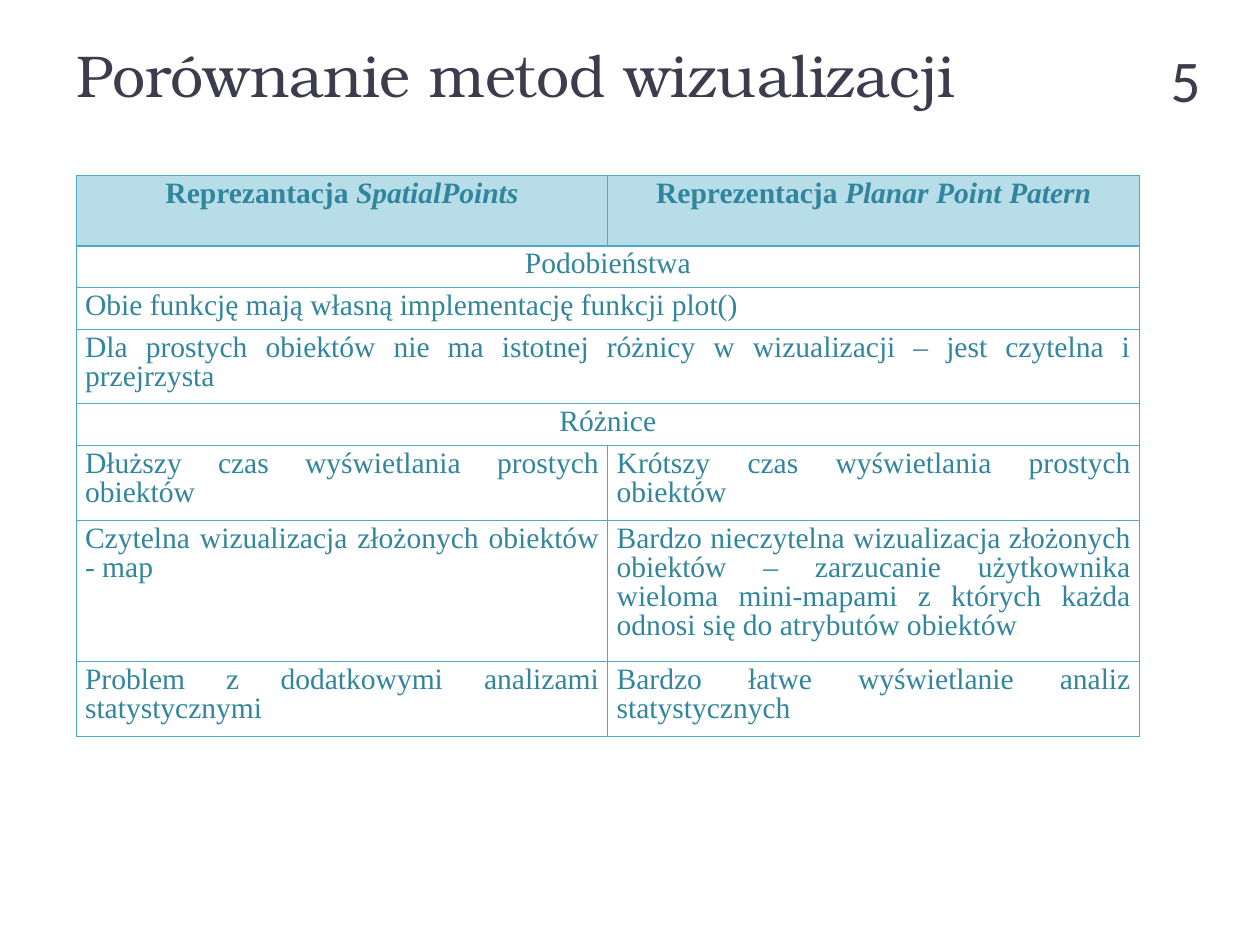
from dataclasses import dataclass

from lxml.etree import SubElement
from pptx import Presentation
from pptx.dml.color import RGBColor
from pptx.enum.text import MSO_ANCHOR, MSO_AUTO_SIZE, PP_ALIGN
from pptx.oxml.ns import qn
from pptx.util import Inches, Pt

COLORS = {"heading": "3C3C4C", "text": "31859C", "border": "4BACC6", "header": "B7DEE8"}
BODY_FONT = "Times New Roman"


@dataclass(frozen=True)
class Span:
    text: str
    font: str = BODY_FONT
    size: int = 24
    color: str = "text"
    bold: bool = False
    italic: bool = False


@dataclass(frozen=True)
class Row:
    height: float
    cells: tuple[tuple[Span, ...], ...]
    align: PP_ALIGN = PP_ALIGN.JUSTIFY
    header: bool = False


def plain(height: float, *texts: str, align: PP_ALIGN = PP_ALIGN.JUSTIFY) -> Row:
    return Row(height, tuple((Span(text),) for text in texts), align)


def heading(first: str, second: str) -> tuple[Span, ...]:
    return Span(first, bold=True), Span(second, bold=True, italic=True)


ROWS = (
    Row(0.8, (heading("Reprezantacja ", "SpatialPoints"),
              heading("Reprezentacja ", "Planar Point Patern")), PP_ALIGN.CENTER, True),
    plain(0.47, "Podobieństwa", align=PP_ALIGN.CENTER),
    plain(0.47, "Obie funkcję mają własną implementację funkcji plot()"),
    plain(0.84, "Dla prostych obiektów nie ma istotnej różnicy w wizualizacji – "
                "jest czytelna i przejrzysta"),
    plain(0.47, "Różnice", align=PP_ALIGN.CENTER),
    plain(0.85, "Dłuższy czas wyświetlania prostych obiektów",
          "Krótszy czas wyświetlania prostych obiektów"),
    plain(1.59, "Czytelna wizualizacja złożonych obiektów - map",
          "Bardzo nieczytelna wizualizacja złożonych obiektów – zarzucanie użytkownika "
          "wieloma mini-mapami z których każda odnosi się do atrybutów obiektów"),
    plain(0.85, "Problem z dodatkowymi analizami statystycznymi",
          "Bardzo łatwe wyświetlanie analiz statystycznych"),
)


def write(frame, spans: tuple[Span, ...], align: PP_ALIGN, spacing: float, before: int) -> None:
    para = frame.paragraphs[0]
    para.alignment = align
    para.line_spacing = spacing
    para.space_before = Pt(before)
    for span in spans:
        run = para.add_run()
        run.text = span.text
        run.font.name = span.font
        run.font.size = Pt(span.size)
        run.font.bold = span.bold
        run.font.italic = span.italic
        run.font.color.rgb = RGBColor.from_string(COLORS[span.color])


def place(box, left: float, top: float, width: float, height: float) -> None:
    box.left, box.top = Inches(left), Inches(top)
    box.width, box.height = Inches(width), Inches(height)
    frame = box.text_frame
    frame.margin_left = frame.margin_right = frame.margin_top = frame.margin_bottom = 0
    frame.auto_size = MSO_AUTO_SIZE.NONE


def set_borders(cell, top: int, bottom: int) -> None:
    properties = cell._tc.get_or_add_tcPr()
    for side, points in (("L", 1), ("R", 1), ("T", top), ("B", bottom)):
        line = SubElement(properties, qn(f"a:ln{side}"), w=str(Pt(points)))
        fill = SubElement(line, qn("a:solidFill"))
        SubElement(fill, qn("a:srgbClr"), val=COLORS["border"])


def add_comparison(page) -> None:
    height = sum(row.height for row in ROWS)
    table = page.shapes.add_table(len(ROWS), 2, Inches(0.86), Inches(1.98),
                                  Inches(12), Inches(height)).table
    table.first_row = table.horz_banding = False
    for index, row in enumerate(ROWS):
        table.rows[index].height = Inches(row.height)
        for column in range(2):
            cell = table.cell(index, column)
            set_borders(cell, 2 if index == 1 else 1, 2 if row.header else 1)
            if row.header:
                cell.fill.solid()
                cell.fill.fore_color.rgb = RGBColor.from_string(COLORS["header"])
            else:
                cell.fill.background()
        if len(row.cells) == 1:
            table.cell(index, 0).merge(table.cell(index, 1))
        for column, spans in enumerate(row.cells):
            write(table.cell(index, column).text_frame, spans, row.align, 0.89, 2)


def main() -> None:
    """Build the slide that compares the two visualisation methods."""
    deck = Presentation()
    deck.slide_width, deck.slide_height = Inches(14.22), Inches(10.67)
    page = deck.slides.add_slide(deck.slide_layouts[5])

    title = page.shapes.title
    place(title, 0.86, 0.5, 10.12, 0.75)
    title.text_frame.vertical_anchor = MSO_ANCHOR.TOP
    title.text_frame.word_wrap = True
    write(title.text_frame, (Span("Porównanie metod wizualizacji", "TeX Gyre Bonum", 48, "heading"),),
          PP_ALIGN.LEFT, 0.93, 0)

    number = page.shapes.add_textbox(0, 0, 0, 0)
    place(number, 13.18, 0.5, 0.37, 0.81)
    number.text_frame.vertical_anchor = MSO_ANCHOR.BOTTOM
    number.text_frame.word_wrap = False
    write(number.text_frame, (Span("5", "Calibri", 48, "heading"),), PP_ALIGN.RIGHT, 0.93, 2)

    add_comparison(page)
    deck.save("out.pptx")


if __name__ == "__main__":
    main()
